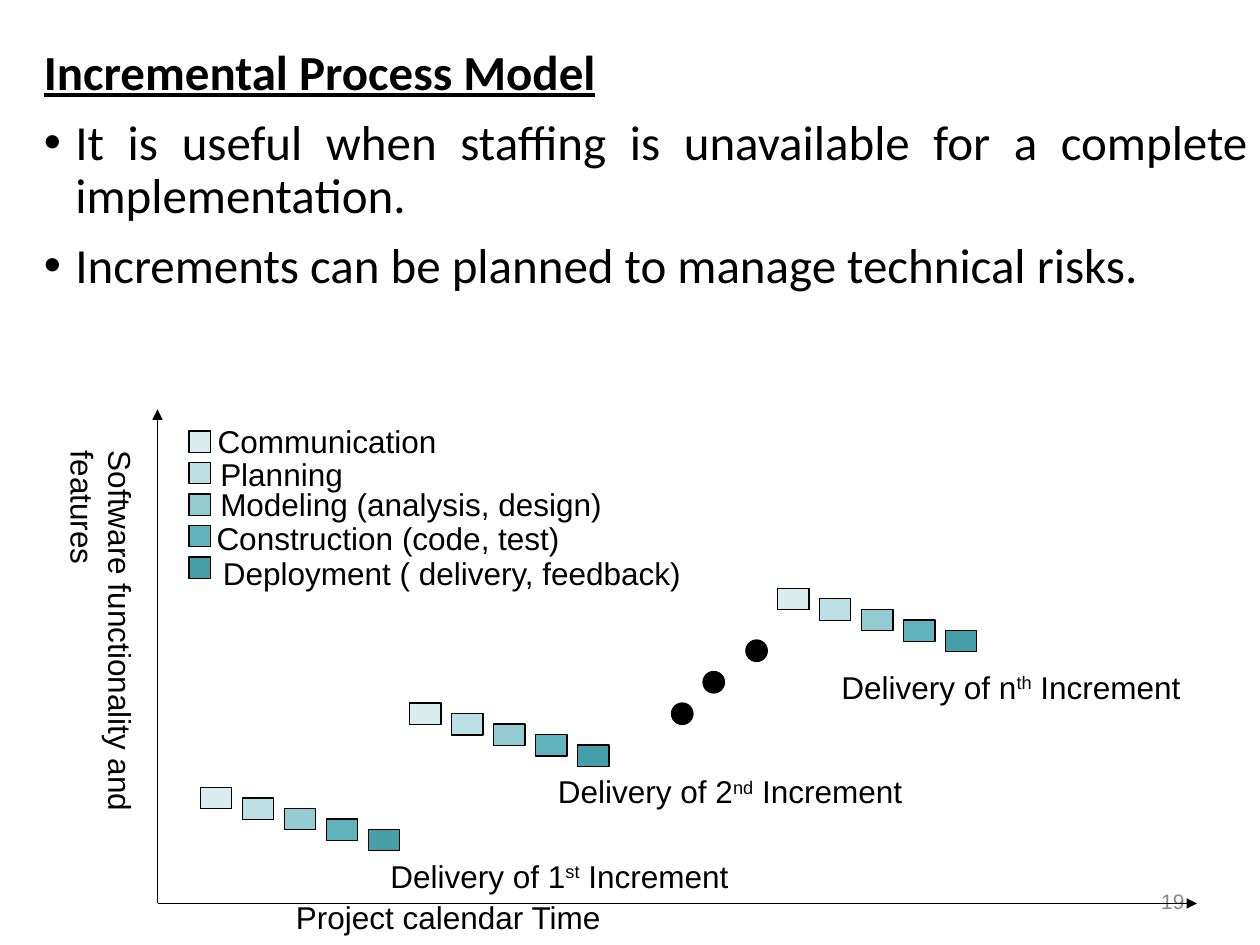
from lxml import etree
from pptx import Presentation
from pptx.dml.color import RGBColor
from pptx.enum import shapes, text
from pptx.oxml import ns
from pptx.util import Inches, Pt

BLACK = RGBColor(0x00, 0x00, 0x00)
GREY = RGBColor(0x89, 0x89, 0x89)
TEALS = [
    RGBColor(0xD9, 0xED, 0xEF),
    RGBColor(0xBB, 0xDF, 0xE3),
    RGBColor(0x93, 0xCB, 0xD1),
    RGBColor(0x60, 0xB3, 0xBC),
    RGBColor(0x46, 0x9F, 0xA8),
]
SIDE = 0.17


def write(para, words, size=18, face="Arial", color=BLACK, bold=False, line=False, raised=False):
    run = para.add_run()
    run.text = words
    font = run.font
    font.size, font.name = Pt(size), face
    font.bold, font.underline = bold, line
    font.color.rgb = color
    if raised:
        run._r.get_or_add_rPr().set("baseline", "30000")


def add_box(slide, left, top, width, height=0.4, grow=True):
    box = slide.shapes.add_textbox(Inches(left), Inches(top), Inches(width), Inches(height))
    frame = box.text_frame
    frame.word_wrap = True
    if grow:
        frame.auto_size = text.MSO_AUTO_SIZE.SHAPE_TO_FIT_TEXT
    return box


def add_label(slide, words, left, top, width):
    write(add_box(slide, left, top, width).text_frame.paragraphs[0], words)


def add_body(slide):
    frame = add_box(slide, 0.25, 0.33, 9.75, 2.5, grow=False).text_frame
    points = [
        "Incremental Process Model",
        "It is useful when staffing is unavailable for a complete implementation.",
        "Increments can be planned to manage technical risks.",
    ]
    for i, words in enumerate(points):
        para = frame.add_paragraph() if i else frame.paragraphs[0]
        para.alignment = text.PP_ALIGN.JUSTIFY
        para.line_spacing = 0.9
        para.space_before = Pt(10)
        props = para._p.get_or_add_pPr()
        props.set("marL", str(Inches(0.25)))
        props.set("indent", str(Inches(-0.25)))
        if i:
            font = etree.SubElement(props, ns.qn("a:buFont"))
            font.set("typeface", "Arial")
            etree.SubElement(props, ns.qn("a:buChar")).set("char", "•")
        else:
            etree.SubElement(props, ns.qn("a:buNone"))
        write(para, words, size=28, face="Calibri", bold=i == 0, line=i == 0)


def add_number(slide):
    frame = add_box(slide, 7.17, 6.95, 2.33, grow=False).text_frame
    frame.vertical_anchor = text.MSO_ANCHOR.MIDDLE
    para = frame.paragraphs[0]
    para.alignment = text.PP_ALIGN.RIGHT
    write(para, "19", size=12, color=GREY)


def add_axis(slide, right, top):
    axis = slide.shapes.add_connector(
        shapes.MSO_CONNECTOR.STRAIGHT, Inches(1.25), Inches(7.17), Inches(right), Inches(top)
    )
    axis.line.color.rgb = BLACK
    axis.line.width = Pt(0.75)
    tip = etree.SubElement(axis.line._get_or_add_ln(), ns.qn("a:tailEnd"))
    tip.set("type", "triangle")
    etree.SubElement(axis.element.spPr, ns.qn("a:effectLst"))


def add_mark(slide, left, top, width, color, kind=shapes.MSO_SHAPE.RECTANGLE):
    mark = slide.shapes.add_shape(kind, Inches(left), Inches(top), Inches(width), Inches(SIDE))
    mark.shadow.inherit = False
    mark.fill.solid()
    mark.fill.fore_color.rgb = color
    mark.line.color.rgb = BLACK
    mark.line.width = Pt(0.75)


def add_legend(slide):
    for i, color in enumerate(TEALS):
        add_mark(slide, 1.5, 3.42 + i * 0.25, SIDE, color)
    add_label(slide, "Communication", 1.63, 3.3, 2.17)
    add_label(slide, "Planning", 1.65, 3.56, 2.17)
    add_label(slide, "Modeling (analysis, design)", 1.65, 3.8, 4)
    add_label(slide, "Construction (code, test)", 1.62, 4.07, 3.25)
    add_label(slide, "Deployment ( delivery, feedback)", 1.67, 4.35, 3.92)


def add_steps(slide, left, top):
    for i, color in enumerate(TEALS):
        add_mark(slide, left + i / 3, top + i / 12, 0.25, color)


def add_caption(slide, count, suffix, left, top):
    para = add_box(slide, left, top, 3.42).text_frame.paragraphs[0]
    write(para, f"Delivery of {count}")
    write(para, suffix, raised=True)
    write(para, " Increment")


def main():
    deck = Presentation()
    deck.slide_width, deck.slide_height = Inches(10), Inches(7.5)
    slide = deck.slides.add_slide(deck.slide_layouts[6])

    add_body(slide)
    add_number(slide)
    add_axis(slide, 1.25, 3.25)
    add_axis(slide, 9.5, 7.17)
    side = add_box(slide, 0.66, 3.48, 0.5, 4)
    side.element.txBody.bodyPr.set("vert", "eaVert")
    write(side.text_frame.paragraphs[0], "Software functionality and features")
    add_label(slide, "Project calendar Time", 2.25, 7.08, 4.67)

    add_legend(slide)
    for left, top in [(1.59, 6.25), (3.25, 5.58), (6.17, 4.67)]:
        add_steps(slide, left, top)
    for left, top in [(5.33, 5.58), (5.58, 5.33), (5.92, 5.08)]:
        add_mark(slide, left, top, SIDE, BLACK, shapes.MSO_SHAPE.OVAL)
    add_caption(slide, "1", "st", 3, 6.75)
    add_caption(slide, "2", "nd", 4.33, 6.08)
    add_caption(slide, "n", "th", 6.58, 5.25)

    deck.save("out.pptx")


if __name__ == "__main__":
    main()
